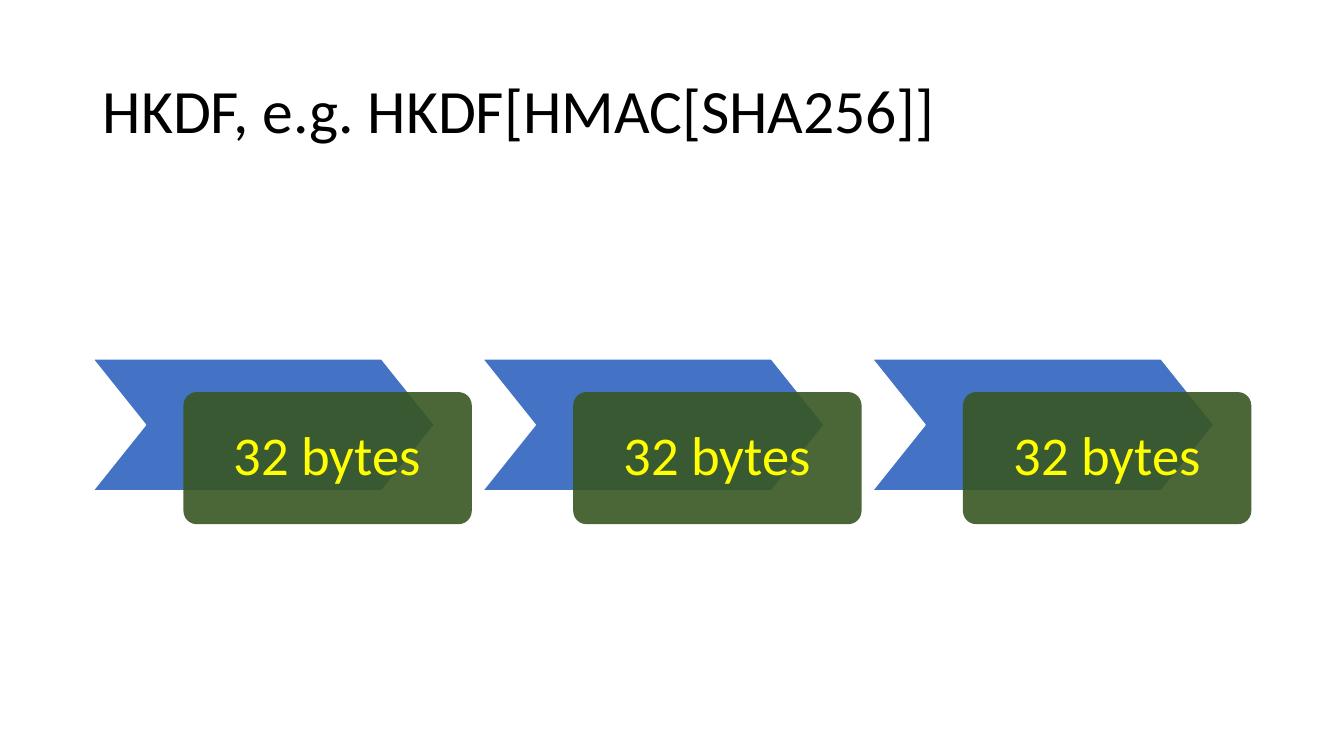
"""Build a slide showing HKDF output as a chain of 32-byte blocks."""
from dataclasses import dataclass

from lxml.etree import SubElement
from pptx import Presentation
from pptx.dml.color import RGBColor as Color
from pptx.enum.shapes import MSO_SHAPE as Preset
from pptx.enum.text import MSO_ANCHOR as Anchor, PP_ALIGN as Align
from pptx.oxml.ns import qn
from pptx.shapes.autoshape import Shape
from pptx.slide import Slide
from pptx.util import Inches, Pt

SLIDE_WIDTH = Inches(13.33)
SLIDE_HEIGHT = Inches(7.5)


@dataclass(frozen=True)
class Theme:
    font: str = "Calibri"
    title_size: int = 44
    block_size: int = 39
    ink: str = "000000"
    arrow: str = "4472C4"
    outline: str = "FFFFFF"
    card: str = "385723"
    card_text: str = "FFFF00"
    card_opacity: int = 90


@dataclass(frozen=True)
class Area:
    """A rectangle in percent of the slide's width and height."""
    left: float
    top: float
    width: float
    height: float

    def shifted(self, columns: int) -> "Area":
        return Area(self.left + columns * COLUMN_PITCH, self.top, self.width, self.height)

    def lengths(self) -> tuple[int, int, int, int]:
        return (int(SLIDE_WIDTH * self.left / 100), int(SLIDE_HEIGHT * self.top / 100),
                int(SLIDE_WIDTH * self.width / 100), int(SLIDE_HEIGHT * self.height / 100))


THEME = Theme()
COLUMN_PITCH = 29
TITLE_AREA = Area(6.9, 5.33, 86.25, 19.33)
ARROW_AREA = Area(6.9, 47.47, 25.43, 17.47)
CARD_AREA = Area(13.65, 51.87, 21.45, 17.47)
BLOCKS = ("32 bytes", "32 bytes", "32 bytes")


def write(box: Shape, text: str, size: int, color: str, align: Align) -> None:
    """Fill a box with one styled, vertically centred paragraph."""
    frame = box.text_frame
    frame.word_wrap = True
    frame.vertical_anchor = Anchor.MIDDLE
    para = frame.paragraphs[0]
    para.text = text
    para.alignment = align
    para.line_spacing = 0.9
    para.font.name = THEME.font
    para.font.size = Pt(size)
    para.font.color.rgb = Color.from_string(color)


def add_filled(page: Slide, preset: Preset, area: Area, fill: str, adjustment: float) -> Shape:
    """Add a flat preset shape with a solid fill."""
    shape = page.shapes.add_shape(preset, *area.lengths())
    shape.adjustments[0] = adjustment
    shape.shadow.inherit = False
    shape.fill.solid()
    shape.fill.fore_color.rgb = Color.from_string(fill)
    return shape


def add_block(page: Slide, column: int, text: str) -> None:
    """Add one arrow with its translucent card."""
    arrow = add_filled(page, Preset.CHEVRON, ARROW_AREA.shifted(column), THEME.arrow, 0.4)
    arrow.line.color.rgb = Color.from_string(THEME.outline)
    arrow.line.width = Pt(1)

    card = add_filled(page, Preset.ROUNDED_RECTANGLE, CARD_AREA.shifted(column), THEME.card, 0.1)
    card.line.fill.background()
    tint = card._element.spPr.find(qn("a:solidFill")).find(qn("a:srgbClr"))
    SubElement(tint, qn("a:alpha")).set("val", str(THEME.card_opacity * 1000))
    frame = card.text_frame
    frame.margin_left = frame.margin_right = Inches(0.3)
    frame.margin_top = frame.margin_bottom = Inches(0.3)
    write(card, text, THEME.block_size, THEME.card_text, Align.CENTER)


def main() -> None:
    """Create the deck and save it."""
    deck = Presentation()
    deck.slide_width, deck.slide_height = SLIDE_WIDTH, SLIDE_HEIGHT
    page = deck.slides.add_slide(deck.slide_layouts[6])
    title = page.shapes.add_textbox(*TITLE_AREA.lengths())
    write(title, "HKDF, e.g. HKDF[HMAC[SHA256]]", THEME.title_size, THEME.ink, Align.LEFT)
    for column, text in enumerate(BLOCKS):
        add_block(page, column, text)
    deck.save("out.pptx")


if __name__ == "__main__":
    main()
